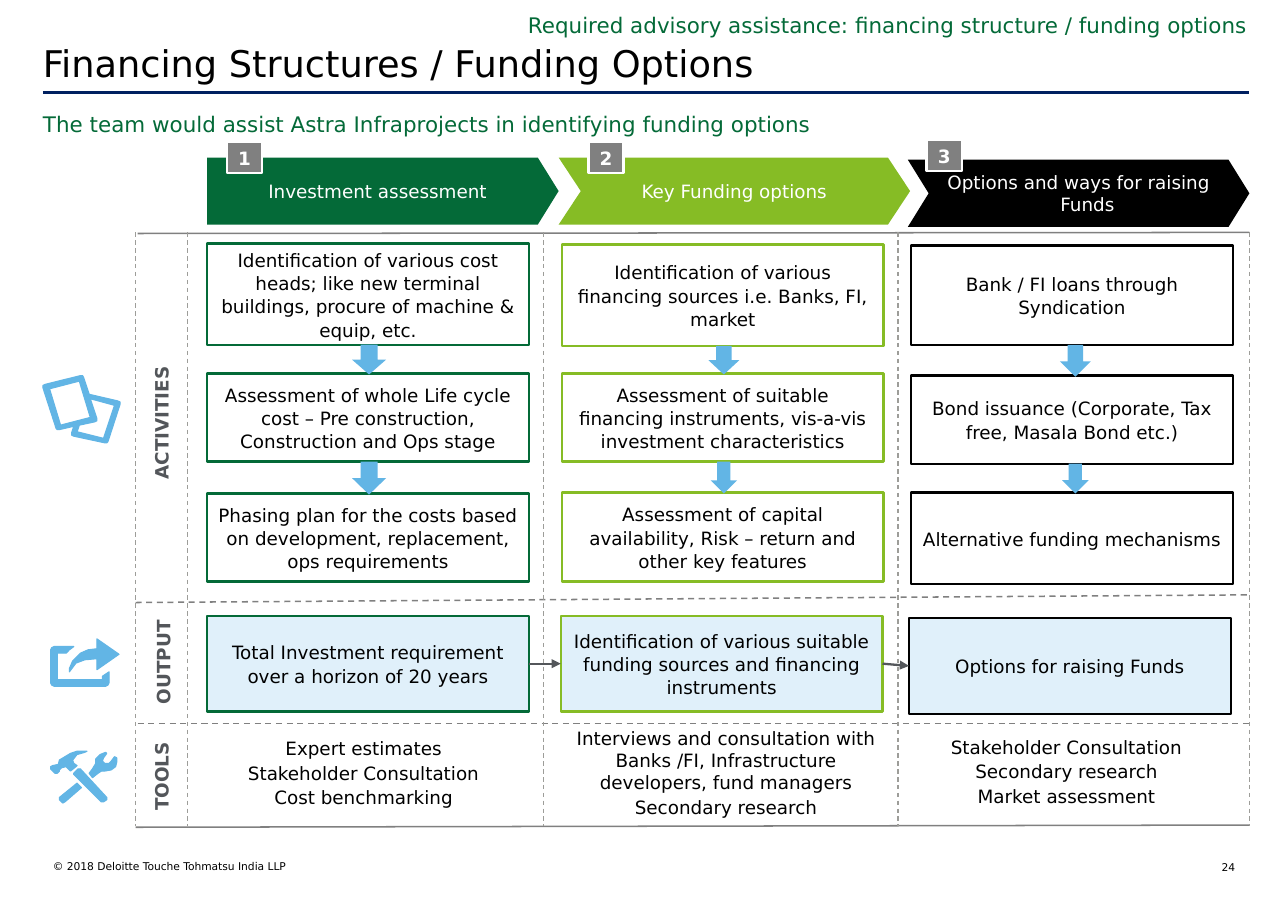
import collections
import dataclasses

import lxml.etree
import pptx
import pptx.dml.color
import pptx.enum.dml
import pptx.enum.shapes
import pptx.enum.text
import pptx.oxml.ns
import pptx.util

Inches = pptx.util.Inches
Shape = pptx.enum.shapes.MSO_SHAPE
Align = pptx.enum.text.PP_ALIGN
Anchor = pptx.enum.text.MSO_ANCHOR
Box = collections.namedtuple("Box", "left top width height")
Stage = collections.namedtuple(
    "Stage", "colour heading outline header tip hanging tag steps_box steps arrow_x arrow_widths output_box output tools_box tools")


@dataclasses.dataclass(frozen=True)
class Theme:
    """Colours, font and type sizes of the slide."""
    font: str = "DejaVu Sans"
    title: int = 24
    lead: int = 14
    body: int = 12
    footer: int = 7
    black: str = "000000"
    white: str = "FFFFFF"
    green: str = "046A38"
    lime: str = "86BC25"
    sky: str = "62B5E5"
    pale: str = "E0F0FA"
    navy: str = "002060"
    slate: str = "53565A"
    grey: str = "808080"
    light_grey: str = "9D9D99"


THEME = Theme()
STAGES = [
    Stage(THEME.green, "Investment assessment", Shape.PENTAGON, Box(1.88, 1.43, 3.19, 0.61), 0.31, False, (0.18, -0.14),
          Box(1.88, 2.21, 2.92, 3.07),
          [(0, 0.92, "Identification of various cost heads; like new terminal buildings, procure of machine & equip, etc."),
           (1.18, 0.8, "Assessment of whole Life cycle cost – Pre construction, Construction and Ops stage"),
           (2.27, 0.8, "Phasing plan for the costs based on development, replacement, ops requirements")],
          1.47, (0.31, 0.31), Box(1.88, 5.59, 2.92, 0.87), "Total Investment requirement over a horizon of 20 years",
          Box(1.84, 6.69, 2.92, 0.77), ["Expert estimates", "Stakeholder Consultation", "Cost benchmarking"]),
    Stage(THEME.lime, "Key Funding options", Shape.CHEVRON, Box(5.07, 1.43, 3.19, 0.61), 0.33, False, (0.27, -0.14),
          Box(5.1, 2.22, 2.92, 3.06),
          [(0, 0.92, "Identification of various financing sources i.e. Banks, FI, market"),
           (1.17, 0.8, "Assessment of suitable financing instruments, vis-a-vis investment characteristics"),
           (2.25, 0.81, "Assessment of capital availability, Risk – return and other key features")],
          1.47, (0.28, 0.24), Box(5.09, 5.59, 2.92, 0.87),
          "Identification of various suitable funding sources and financing instruments", Box(5.13, 6.6, 2.92, 0.97),
          ["Interviews and consultation with Banks /FI, Infrastructure developers, fund managers", "Secondary research"]),
    Stage(THEME.black, "Options and ways for raising Funds", Shape.CHEVRON, Box(8.24, 1.45, 3.1, 0.61), 0.31, True, (0.17, -0.18),
          Box(8.27, 2.23, 2.92, 3.07),
          [(0, 0.9, "Bank / FI loans through Syndication"),
           (1.18, 0.8, "Bond issuance (Corporate, Tax free, Masala Bond etc.)"),
           (2.24, 0.83, "Alternative funding mechanisms")],
          1.49, (0.28, 0.24), Box(8.25, 5.61, 2.92, 0.87), "Options for raising Funds",
          Box(8.22, 6.68, 2.92, 0.77), ["Stakeholder Consultation", "Secondary research", "Market assessment"]),
]
ROW_LABELS = [("ACTIVITIES", Box(-0.14, 3.74, 3.21, 0.2)), ("OUTPUT", Box(0.87, 5.91, 1.22, 0.2)),
              ("TOOLS", Box(0.98, 6.95, 0.97, 0.2))]
CARDS = [
    [(68, 24), (42, 18), (37, 3), (36, 1), (34, 1), (2, 9), (0, 10), (0, 12), (12, 49), (13, 50), (15, 50), (28, 47),
     (26, 53), (26, 55), (28, 56), (56, 62), (58, 62), (59, 61), (70, 27), (70, 25)],
    [(6, 13), (33, 6), (43, 39), (16, 46)],
    [(55, 58), (31, 52), (33, 46), (47, 43), (49, 42), (49, 40), (43, 22), (65, 28)]]
SHARE = [
    [(47, 37), (6, 37), (6, 13), (14, 13), (17, 10), (21, 7), (3, 7), (1, 8), (0, 10), (0, 40), (1, 42), (3, 43),
     (50, 43), (52, 42), (53, 40), (53, 30), (47, 34)],
    [(42, 18), (42, 28), (62, 14), (42, 0), (42, 9), (34, 10), (27, 13), (20, 20), (17, 27), (17, 30), (23, 22), (31, 19)]]
HAMMER_AND_WRENCH = [
    [(10, 15), (14, 14), (18, 18), (23, 14), (24, 13), (21, 11), (20, 8), (24, 3), (31, 1), (33, 0), (24, 0), (18, 2),
     (13, 5), (8, 8), (7, 12), (2, 13), (0, 14), (0, 16), (4, 20), (6, 20), (8, 18), (8, 17)],
    [(27, 16), (25, 16), (21, 20), (21, 21), (46, 46), (48, 46), (51, 44), (51, 42)],
    [(60, 6), (58, 5), (55, 9), (53, 11), (49, 11), (47, 9), (48, 6), (51, 2), (50, 1), (45, 3), (41, 7), (41, 11),
     (38, 16), (35, 20), (38, 24), (43, 20), (46, 18), (49, 18), (55, 17), (59, 14), (60, 10)],
    [(8, 42), (8, 44), (11, 47), (13, 46), (28, 33), (24, 29)]]
ICONS = [(CARDS, 0.39, 3.4), (SHARE, 0.46, 5.8), (HAMMER_AND_WRENCH, 0.46, 6.82)]


def rgb(colour):
    """Turn a hex string into a colour."""
    return pptx.dml.color.RGBColor.from_string(colour)


def assign(target, values):
    """Set each named attribute on the target."""
    for name, value in values.items():
        setattr(target, name, value)


def write(holder, lines, size=THEME.body, colour=THEME.black, bold=False, inset=(0, 0), anchor=Anchor.TOP, gap=0, **layout):
    """Fill a shape or text box with formatted paragraphs."""
    across, down = map(Inches, inset)
    frame = holder.text_frame
    assign(frame, dict(word_wrap=True, vertical_anchor=anchor, margin_left=across, margin_right=across,
                       margin_top=down, margin_bottom=down))
    for index, line in enumerate(lines):
        paragraph = frame.paragraphs[0] if index == 0 else frame.add_paragraph()
        run = paragraph.add_run()
        run.text = line
        assign(paragraph, layout)
        if index:
            paragraph.space_before = pptx.util.Pt(gap)
        assign(run.font, dict(name=THEME.font, size=pptx.util.Pt(size), bold=bold))
        run.font.color.rgb = rgb(colour)


def caption(slide, box, lines, **style):
    """Add a text box."""
    holder = slide.shapes.add_textbox(*map(Inches, box))
    write(holder, lines, **style)
    return holder


def paint(shape, fill=None, line=None, weight=1.5):
    """Set the fill and outline of a shape, without shadow."""
    shape.shadow.inherit = False
    for part, colour in ((shape.fill, fill), (shape.line.fill, line)):
        if colour:
            part.solid()
            part.fore_color.rgb = rgb(colour)
        else:
            part.background()
    if line:
        shape.line.width = pptx.util.Pt(weight)
    return shape


def panel(slide, box, text, fill, line, inset=(0.09, 0.09), **style):
    """Add an outlined rectangle with centred text."""
    shape = paint(slide.shapes.add_shape(Shape.RECTANGLE, *map(Inches, box)), fill, line)
    write(shape, [text], inset=inset, anchor=Anchor.MIDDLE, alignment=Align.CENTER, line_spacing=1.06, **style)
    return shape


def rule(slide, start, end, colour, weight, dashed=False):
    """Add a straight line."""
    line = slide.shapes.add_connector(pptx.enum.shapes.MSO_CONNECTOR.STRAIGHT, *map(Inches, start + end))
    line.line.color.rgb = rgb(colour)
    line.line.width = pptx.util.Pt(weight)
    if dashed:
        line.line.dash_style = pptx.enum.dml.MSO_LINE.DASH
    lxml.etree.SubElement(line._element.spPr, pptx.oxml.ns.qn("a:effectLst"))
    return line


def header(slide, box, stage, number):
    """Draw the stage heading and its number tag."""
    banner = paint(slide.shapes.add_shape(stage.outline, *map(Inches, box)), stage.colour)
    banner.adjustments[0] = stage.tip
    write(banner, [stage.heading], colour=THEME.white, inset=(0.03, 0.03), anchor=Anchor.MIDDLE, alignment=Align.CENTER)
    if stage.hanging:
        properties = banner.text_frame.paragraphs[0]._p.get_or_add_pPr()
        for name, value in (("marL", 0.16), ("indent", -0.16)):
            properties.set(name, str(Inches(value)))
    across, down = stage.tag
    panel(slide, Box(box.left + across, box.top + down, 0.32, 0.28), str(number), THEME.grey, THEME.white,
          inset=(0, 0), colour=THEME.white, bold=True)


def activities(slide, box, stage):
    """Draw the steps of a stage with arrows between them."""
    for index, (offset, height, text) in enumerate(stage.steps):
        panel(slide, Box(box.left, box.top + offset, box.width, height), text, None if index else THEME.white, stage.colour)
    for (offset, height, _), following, width in zip(stage.steps, stage.steps[1:], stage.arrow_widths):
        arrow = Box(box.left + stage.arrow_x - width / 2, box.top + offset + height, width, following[0] - offset - height + 0.01)
        paint(slide.shapes.add_shape(Shape.DOWN_ARROW, *map(Inches, arrow)), THEME.sky)


def outputs(slide):
    """Draw the output boxes and join each to the next."""
    results = [panel(slide, stage.output_box, stage.output, THEME.pale, stage.colour) for stage in STAGES]
    for source, target in zip(results, results[1:]):
        link = rule(slide, (0, 0), (1, 1), THEME.slate, 1.5)
        link.begin_connect(source, 3)
        link.end_connect(target, 1)
        lxml.etree.SubElement(link.line._get_or_add_ln(), pptx.oxml.ns.qn("a:tailEnd"), type="triangle")


def grid(slide, box):
    """Draw the row and column rules of the matrix."""
    right, bottom = box.left + box.width, box.top + box.height
    for indent, start, end, dashed in ((0.02, 0.01, 0, False), (0.02, 4.46, 4.46, True), (0, 3.36, 3.29, True), (0, 5.4, 5.38, False)):
        rule(slide, (box.left + indent, box.top + start), (right, box.top + end), THEME.grey, 1, dashed)
    for across in (0, 0.47, 3.7, 6.92, box.width):
        rule(slide, (box.left + across, box.top), (box.left + across, bottom), THEME.light_grey, 0.75, True)


def row_labels(slide):
    """Draw the turned row names and their icons."""
    for name, box in ROW_LABELS:
        caption(slide, box, [name], colour=THEME.slate, bold=True, alignment=Align.CENTER).rotation = 270
    for contours, left, top in ICONS:
        builder = slide.shapes.build_freeform(*contours[0][0], scale=Inches(0.01))
        for contour in contours:
            builder.move_to(*contour[0])
            builder.add_line_segments(contour[1:])
        paint(builder.convert_to_shape(Inches(left), Inches(top)), THEME.sky, THEME.sky, 0.75)


def frame_texts(slide):
    """Draw the titles, the title rule and the footer."""
    caption(slide, Box(2.51, 0.06, 8.91, 0.34), ["Required advisory assistance: financing structure / funding options"],
            size=THEME.lead, colour=THEME.green, inset=(0.1, 0.05), alignment=Align.RIGHT)
    caption(slide, Box(0.29, 0.36, 10.84, 0.47), ["Financing Structures / Funding Options"],
            size=THEME.title, inset=(0.1, 0.05), line_spacing=pptx.util.Pt(26))
    rule(slide, (0.39, 0.84), (11.34, 0.84), THEME.navy, 2.25)
    caption(slide, Box(0.39, 1.01, 10.7, 0.32), ["The team would assist Astra Infraprojects in identifying funding options"],
            size=THEME.lead, colour=THEME.green, alignment=Align.JUSTIFY)
    caption(slide, Box(0.48, 7.81, 5.13, 0.24), ["© 2018 Deloitte Touche Tohmatsu India LLP"], size=THEME.footer)
    caption(slide, Box(10.91, 7.81, 0.3, 0.12), ["24"], size=THEME.footer, alignment=Align.RIGHT)


def main():
    """Build the slide and save it."""
    deck = pptx.Presentation()
    assign(deck, dict(slide_width=Inches(11.69), slide_height=Inches(8.27)))
    slide = deck.slides.add_slide(deck.slide_layouts[6])
    frame_texts(slide)
    grid(slide, Box(1.23, 2.11, 10.11, 5.39))
    row_labels(slide)
    for number, stage in enumerate(STAGES, 1):
        header(slide, stage.header, stage, number)
        activities(slide, stage.steps_box, stage)
        caption(slide, stage.tools_box, stage.tools, alignment=Align.CENTER, gap=1.8)
    outputs(slide)
    deck.save("out.pptx")


if __name__ == "__main__":
    main()
